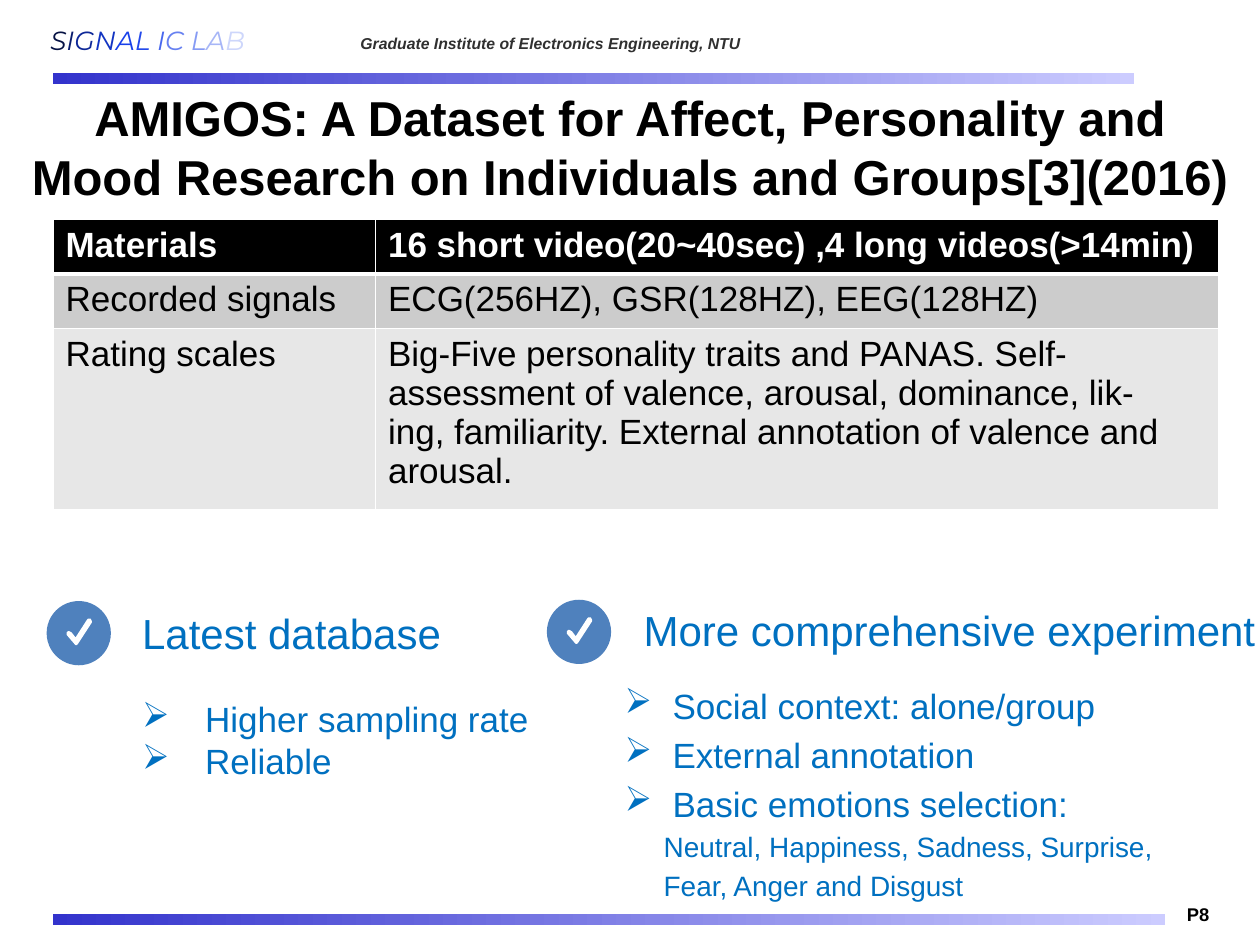
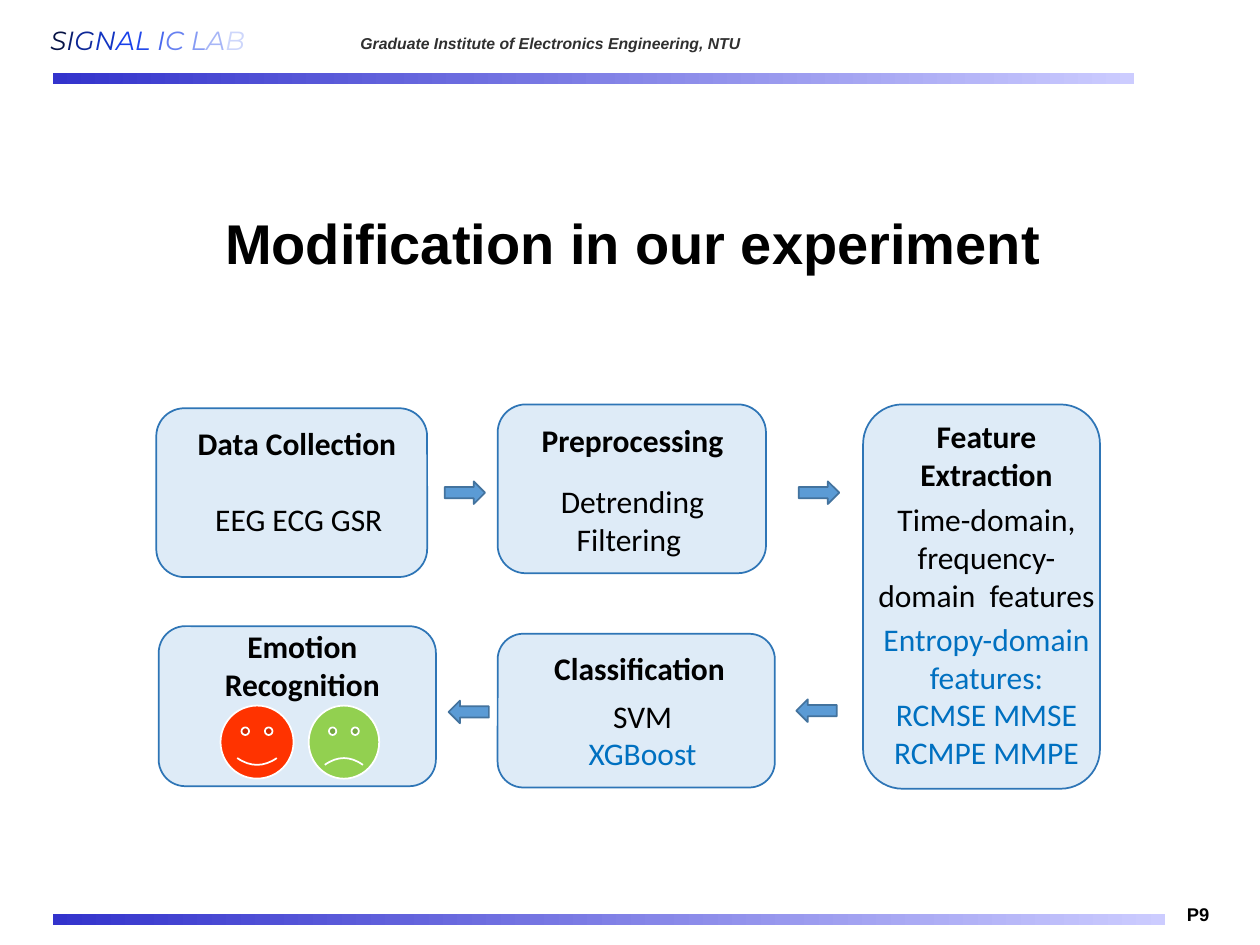
from dataclasses import dataclass

from lxml import etree
from pptx import Presentation
from pptx.dml.color import RGBColor
from pptx.enum.shapes import MSO_SHAPE
from pptx.enum.text import MSO_ANCHOR, PP_ALIGN
from pptx.oxml.ns import qn
from pptx.util import Inches, Pt

RECT, OVAL = MSO_SHAPE.RECTANGLE, MSO_SHAPE.OVAL
ROUND, ARROW = MSO_SHAPE.ROUNDED_RECTANGLE, MSO_SHAPE.RIGHT_ARROW
SMILE = MSO_SHAPE.SMILEY_FACE
LEFT, MID = PP_ALIGN.LEFT, PP_ALIGN.CENTER
TOP, CENTER = MSO_ANCHOR.TOP, MSO_ANCHOR.MIDDLE


@dataclass(frozen=True)
class Theme:
    sans: str = "Arial"
    flow: str = "Calibri"
    brand: str = "Montserrat"
    ink: str = "000000"
    paper: str = "FFFFFF"
    gray: str = "303030"
    blue: str = "0070C0"
    badge: str = "4F81BD"
    band: tuple = ("3333CC", "CCCCFF")
    rows: tuple = ("000000", "CCCCCC", "E7E7E7")
    panel: tuple = ("DEEBF7", "2E75B6")
    arrow: tuple = ("5B9BD5", "43739E")
    happy: str = "FF3300"
    sad: str = "92D050"
    fade: tuple = ("061244", "0A1D6E", "0E2898", "1234C2", "1840EA", "2349EB",
                   "4767EF", "6781F1", "869BF4", "A7B6F7", "CDD6FB")
    tiny: float = 9
    page: float = 10.5
    mark: float = 15
    note: float = 16
    step: float = 18
    body: float = 20
    head: float = 24
    title: float = 28
    big: float = 32


T = Theme()
LAB = ("S", "I", "G", "N", "A", "L ", "I", "C ", "L", "A", "B")
TICK = ((7, 21), (6, 20), (0, 13), (0, 11), (1, 10), (2, 10), (4, 11), (7, 15),
        (16, 1), (17, 0), (19, 0), (20, 2), (20, 3), (9, 20), (8, 21))
TABLE = (
    ("Materials", "16 short video(20~40sec) ,4 long videos(>14min)"),
    ("Recorded signals", "ECG(256HZ), GSR(128HZ), EEG(128HZ)"),
    ("Rating scales",
     "Big-Five personality traits and PANAS. Self-\n"
     "assessment of valence, arousal, dominance, lik-\n"
     "ing, familiarity. External annotation of valence and arousal."),
)
PANELS = ((1.26, 4.97, 2.2, 1.27), (3.95, 3.21, 2.13, 1.34),
          (6.85, 3.21, 1.88, 3.05), (3.95, 5.03, 2.2, 1.22),
          (1.24, 3.24, 2.15, 1.34))
HEADS = (("Classification", 4.3, 5.1, 0.4, LEFT),
         ("Feature Extraction", 6.85, 3.26, 0.71, MID),
         ("Preprocessing", 4.2, 3.29, 0.4, LEFT),
         ("Data Collection", 1.47, 3.32, 0.4, LEFT),
         ("Emotion Recognition", 1.42, 4.93, 0.71, MID))
NOTES = (
    (6.85, 4.87, 1.31, MID, (("Entropy-domain features:", T.blue),
                             ("RCMSE MMSE", T.blue), ("RCMPE MMPE", T.blue))),
    (4.04, 3.78, 0.71, MID, (("Detrending", T.ink), ("Filtering ", T.ink))),
    (1.61, 3.92, 0.4, LEFT, (("EEG ECG GSR", T.ink),)),
    (4.12, 5.48, 0.71, MID, (("SVM", T.ink), ("XGBoost", T.blue))),
    (6.85, 3.92, 1.01, MID,
     (("Time-domain, frequency- domain  features", T.ink),)),
)
ARROWS = ((3.53, 3.82, 0), (6.34, 3.82, 0), (3.56, 5.56, 180), (6.32, 5.55, 180))


def rgb(code):
    return RGBColor.from_string(code)


def style(size, color=T.ink, name=T.sans, bold=False, italic=False):
    return dict(size=Pt(size), name=name, bold=bold, italic=italic, color=color)


def add_run(para, text, form):
    run = para.add_run()
    run.text = text
    for key, value in form.items():
        if key == "color":
            run.font.color.rgb = rgb(value)
        else:
            setattr(run.font, key, value)


def para(text, form, align=LEFT, before=0, left=0, hang=0, bullet=None):
    return dict(runs=[(text, form)], align=align, before=before,
                left=left, hang=hang, bullet=bullet)


def write(frame, paras):
    for i, item in enumerate(paras):
        line = frame.paragraphs[0] if i == 0 else frame.add_paragraph()
        line.alignment = item["align"]
        line.space_before = Pt(item["before"])
        props = line._p.get_or_add_pPr()
        props.set("marL", str(Inches(item["left"])))
        props.set("indent", str(-Inches(item["hang"])))
        if item["bullet"]:
            etree.SubElement(props, qn("a:buChar"), char=item["bullet"])
        for text, form in item["runs"]:
            for n, part in enumerate(text.split("\n")):
                if n:
                    line.add_line_break()
                add_run(line, part, form)


def add_text(slide, at, paras, inset=(0.1, 0.05), anchor=TOP, wrap=True):
    frame = slide.shapes.add_textbox(*map(Inches, at)).text_frame
    across, down = map(Inches, inset)
    form = dict(word_wrap=wrap, vertical_anchor=anchor, margin_left=across,
                margin_right=across, margin_top=down, margin_bottom=down)
    for key, value in form.items():
        setattr(frame, key, value)
    write(frame, paras)


def paint(shape, fill, line=None):
    shape.shadow.inherit = False
    shape.fill.solid()
    shape.fill.fore_color.rgb = rgb(fill)
    if line:
        shape.line.color.rgb = rgb(line)
        shape.line.width = Pt(1)
    else:
        shape.line.fill.background()


def add_shape(slide, kind, at, fill, line=None):
    shape = slide.shapes.add_shape(kind, *map(Inches, at))
    paint(shape, fill, line)
    return shape


def add_band(slide, top, width):
    band = add_shape(slide, RECT, (0.42, top, width, 0.09), T.band[0])
    band.fill.gradient()
    band.fill.gradient_angle = 0
    for stop, color in zip(band.fill.gradient_stops, T.band):
        stop.color.rgb = rgb(color)


def add_frame(deck, number):
    """Add a blank slide with the shared header, bands and page number."""
    slide = deck.slides.add_slide(deck.slide_layouts[6])
    inset = (0.07, 0.04)
    add_band(slide, 0.58, 8.58)
    lab = para("", style(T.mark))
    lab["runs"] = [(text, style(T.mark, color, T.brand, italic=True))
                   for text, color in zip(LAB, T.fade)]
    add_text(slide, (0.33, 0.15, 2.4, 0.33), [lab], inset)
    school = style(T.tiny, T.gray, bold=True, italic=True)
    add_text(slide, (2.79, 0.23, 5.79, 0.23),
             [para("Graduate Institute of Electronics Engineering, NTU", school)],
             inset)
    add_text(slide, (9.35, 7.13, 0.43, 0.25),
             [para(f"P{number}", style(T.page, bold=True))], inset, wrap=False)
    add_band(slide, 7.25, 8.83)
    return slide


def add_title(slide, text, at, size):
    add_text(slide, at, [para(text, style(size, bold=True), MID)], anchor=CENTER)


def add_edge(cell, side, width):
    props = cell._tc.get_or_add_tcPr()
    line = etree.SubElement(props, qn(f"a:ln{side}"), w=str(Pt(width)))
    fill = etree.SubElement(line, qn("a:solidFill"))
    etree.SubElement(fill, qn("a:srgbClr"), val=T.paper)


def add_table(slide):
    table = slide.shapes.add_table(3, 2, *map(Inches, (0.42, 1.74, 9.25, 2.16))).table
    table.first_row = table.horz_banding = False
    for col, width in zip(table.columns, (2.56, 6.69)):
        col.width = Inches(width)
    for row, height in zip(table.rows, (0.41, 0.41, 1.34)):
        row.height = Inches(height)
    for r, texts in enumerate(TABLE):
        form = style(T.body, T.ink if r else T.paper, bold=r == 0)
        for c, text in enumerate(texts):
            cell = table.cell(r, c)
            write(cell.text_frame, [para(part, form) for part in text.split("\n")])
            for side in "LRTB":
                rule = (side, r) in (("B", 0), ("T", 1))
                add_edge(cell, side, 3 if rule else 1)
            cell.fill.solid()
            cell.fill.fore_color.rgb = rgb(T.rows[r])


def add_badge(slide, left, top):
    """Draw a white tick on a blue disc."""
    add_shape(slide, OVAL, (left, top, 0.51, 0.51), T.badge)
    pen = slide.shapes.build_freeform(*TICK[0], scale=Inches(0.01))
    pen.add_line_segments(TICK[1:], close=True)
    paint(pen.convert_to_shape(Inches(left + 0.16), Inches(top + 0.14)), T.paper)


def add_data(deck):
    slide = add_frame(deck, 8)
    add_title(slide, "AMIGOS: A Dataset for Affect, Personality and\n"
              "Mood Research on Individuals and Groups[3](2016)",
              (0, 0.75, 10, 0.83), T.title)
    add_table(slide)
    head, body, note = (style(size, T.blue) for size in (T.head, T.body, T.note))
    add_badge(slide, 4.34, 4.76)
    points = [para(text, body, before=4, left=0.38, hang=0.38, bullet="➢")
              for text in ("Social context: alone/group", "External annotation",
                           "Basic emotions selection:")]
    points += [para(text, note, before=3.2, left=0.31)
               for text in ("Neutral, Happiness, Sadness, Surprise,",
                            "Fear, Anger and Disgust")]
    add_text(slide, (4.86, 5.38, 5.14, 1.85), points)
    add_text(slide, (5.01, 4.75, 5.67, 0.5),
             [para("More comprehensive experiment", head)])
    add_badge(slide, 0.37, 4.77)
    add_text(slide, (1.03, 4.77, 3.35, 1.51), [
        para("Latest database", head),
        para("Higher sampling rate", body, before=23, left=0.5, hang=0.5, bullet="➢"),
        para("Reliable", body, left=0.5, hang=0.5, bullet="➢")])


def add_flow(deck):
    slide = add_frame(deck, 9)
    add_title(slide, "Modification in our experiment", (0.44, 1.51, 9.17, 0.83), T.big)
    for at in PANELS:
        add_shape(slide, ROUND, at, *T.panel)
    for left, width, color, curve in ((2.45, 0.56, T.sad, -0.0465),
                                      (1.75, 0.58, T.happy, 0.0465)):
        face = add_shape(slide, SMILE, (left, 5.6, width, 0.58), color, T.paper)
        face.adjustments[0] = curve
    bold = style(T.step, name=T.flow, bold=True)
    for text, left, top, height, align in HEADS:
        add_text(slide, (left, top, 1.96, height), [para(text, bold, align)])
    for left, top, height, align, lines in NOTES:
        add_text(slide, (left, top, 1.96, height),
                 [para(text, style(T.step, color, T.flow), align)
                  for text, color in lines])
    for left, top, turn in ARROWS:
        arrow = add_shape(slide, ARROW, (left, top, 0.32, 0.18), *T.arrow)
        arrow.rotation = turn


def main():
    deck = Presentation()
    deck.slide_width, deck.slide_height = Inches(10), Inches(7.5)
    add_data(deck)
    add_flow(deck)
    deck.save("out.pptx")


if __name__ == "__main__":
    main()
